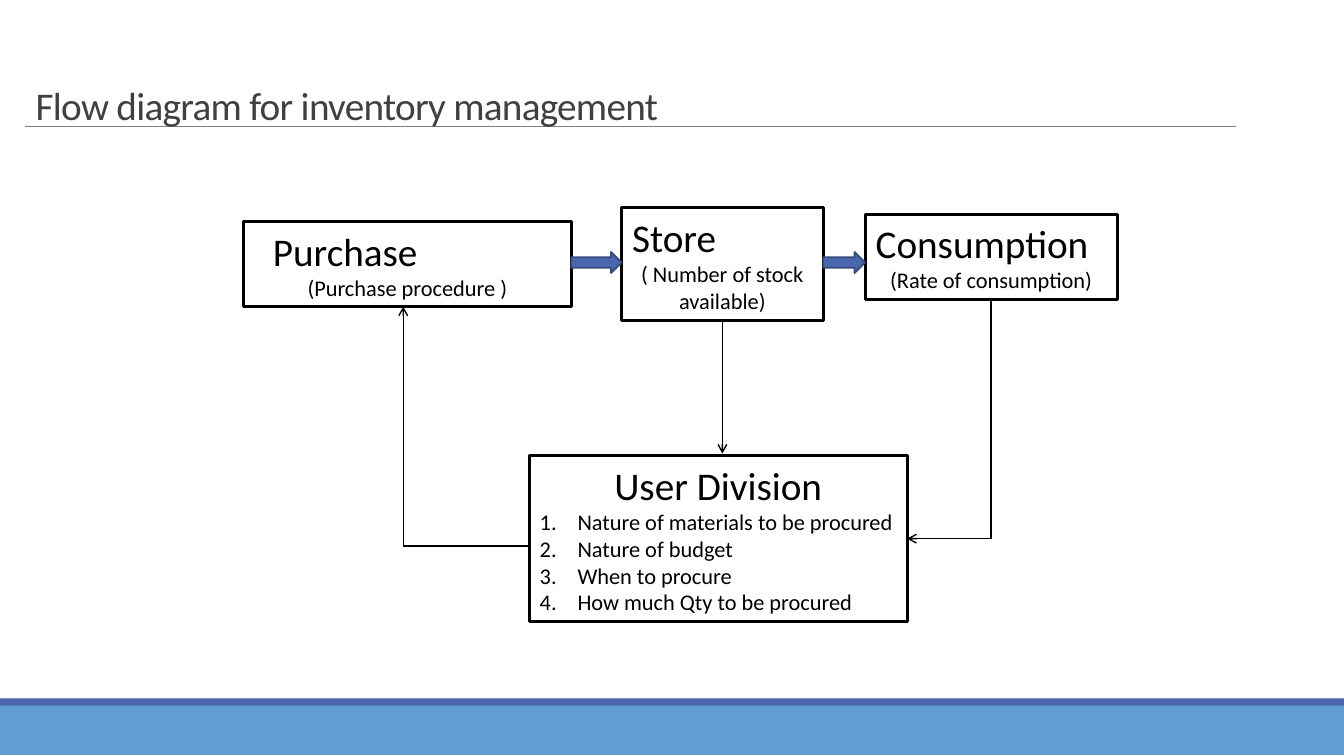
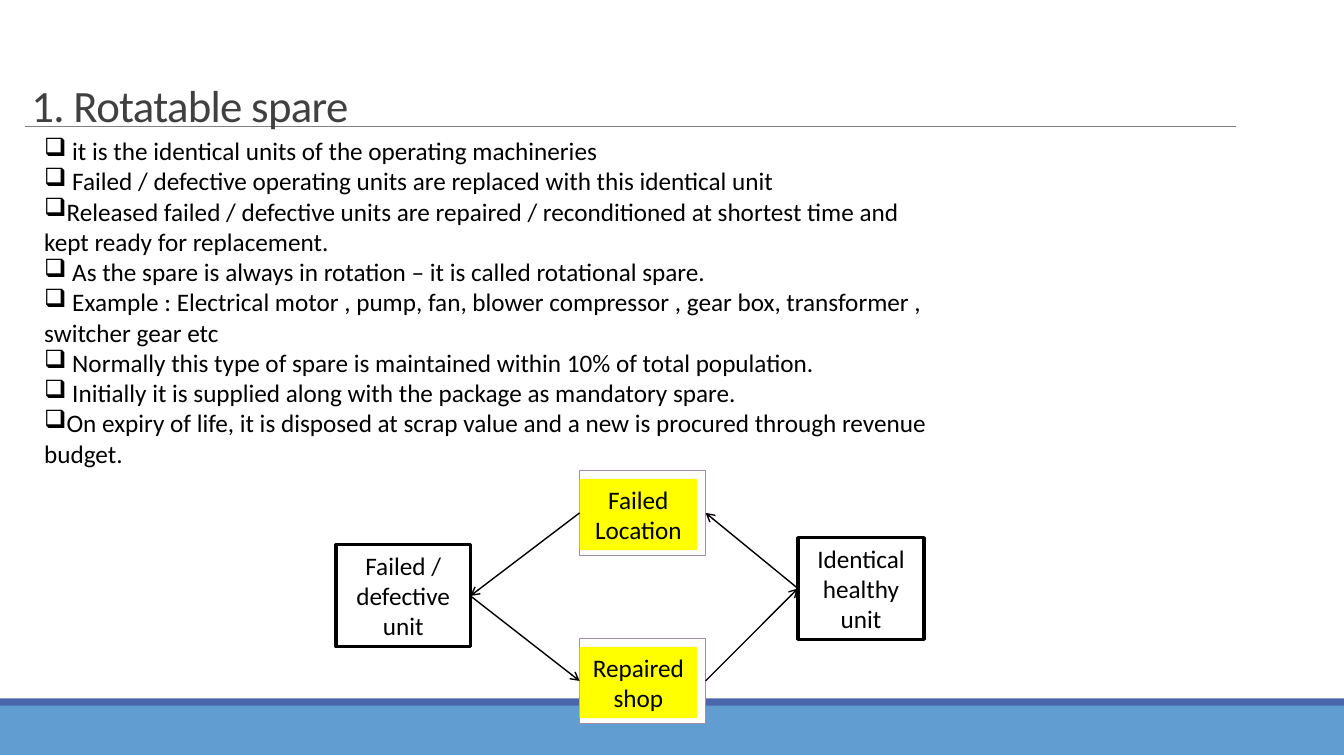
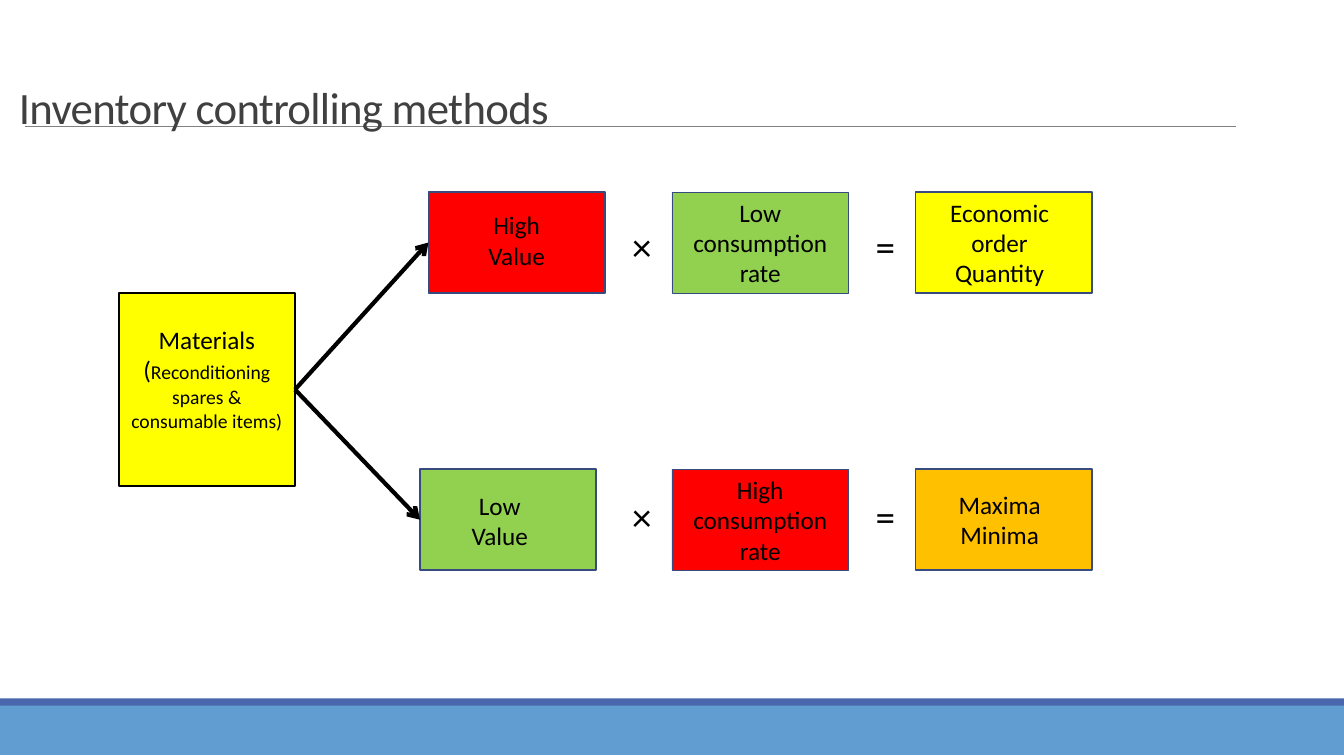
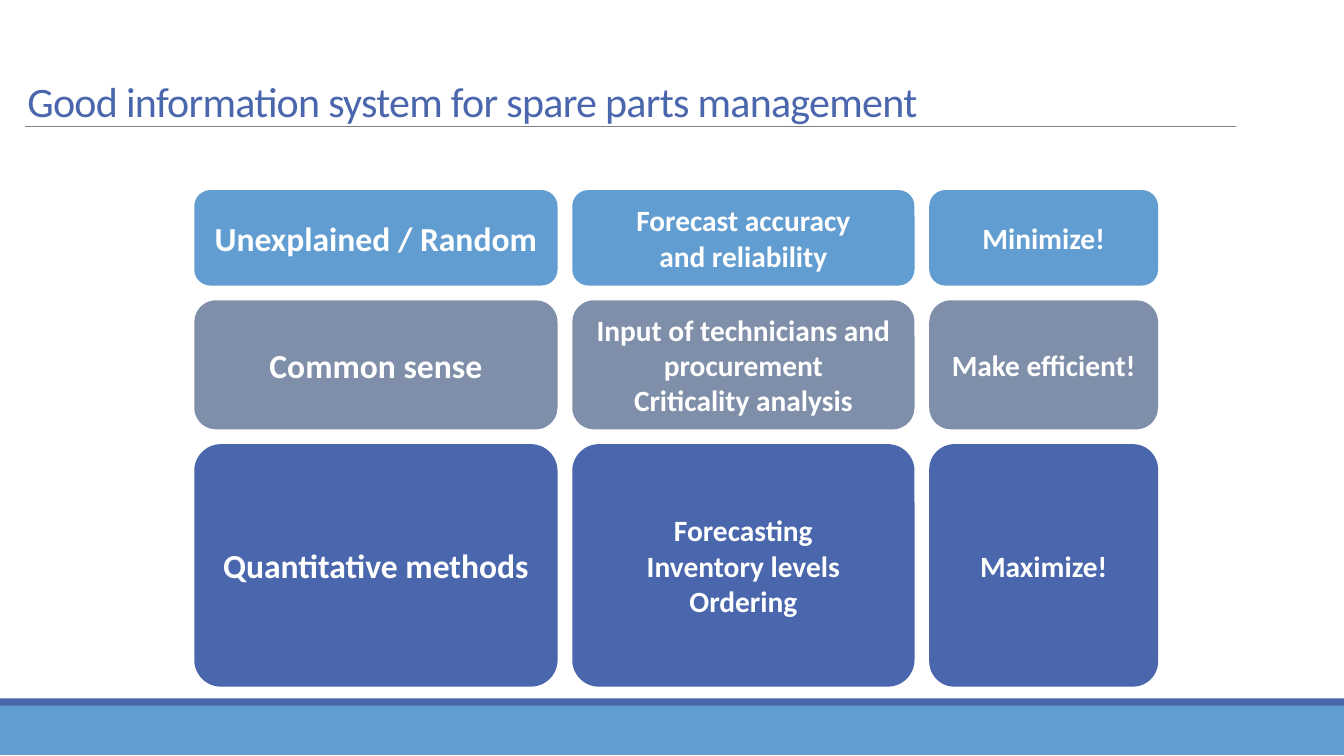
"""Build four slides on inventory and spare parts management."""
from dataclasses import dataclass
from typing import NamedTuple, Optional, Union

import lxml.etree
import pptx
import pptx.dml.color
import pptx.enum.shapes
import pptx.enum.text
import pptx.oxml.ns
import pptx.presentation
import pptx.shapes.autoshape
import pptx.slide
import pptx.text.text
import pptx.util

PX = 9525
FONT = "Calibri"
COLORS = {
    "black": "000000", "white": "FFFFFF", "title": "404040", "rule": "808080",
    "blue": "4A66AC", "navy": "374B7F", "sky": "629DD1", "slate": "7F8FA9",
    "mauve": "9D90A0", "yellow": "FFFF00", "red": "FF0000", "green": "92D050",
    "orange": "FFC000",
}
LEFT, CENTER = pptx.enum.text.PP_ALIGN.LEFT, pptx.enum.text.PP_ALIGN.CENTER
TOP, MIDDLE, BOTTOM = (pptx.enum.text.MSO_ANCHOR.TOP, pptx.enum.text.MSO_ANCHOR.MIDDLE,
                       pptx.enum.text.MSO_ANCHOR.BOTTOM)
SHAPE = pptx.enum.shapes.MSO_SHAPE
SIDE_TOP, SIDE_LEFT, SIDE_BOTTOM, SIDE_RIGHT = range(4)


class Rect(NamedTuple):
    x: int
    y: int
    w: int
    h: int


class Insets(NamedTuple):
    left: int = 10
    top: int = 5
    right: int = 10
    bottom: int = 5


class Point(NamedTuple):
    x: int
    y: int


class Joint(NamedTuple):
    sp: pptx.shapes.autoshape.Shape
    side: int


class Run(NamedTuple):
    text: str
    size: int


End = Union[Point, Joint]


@dataclass
class Para:
    text: str = ""
    size: int = 18
    align: pptx.enum.text.PP_ALIGN = CENTER
    color: str = "black"
    bold: bool = False
    margin: int = 0
    hanging: int = 0
    bullet: str = ""
    numbered: bool = False
    tight: bool = False
    runs: tuple[Run, ...] = ()


@dataclass
class Box:
    rect: Rect
    paras: tuple[Para, ...] = ()
    kind: SHAPE = SHAPE.RECTANGLE
    fill: Optional[str] = None
    line: Optional[str] = None
    width: float = 1.25
    anchor: pptx.enum.text.MSO_ANCHOR = TOP
    insets: Insets = Insets()
    corner: Optional[float] = None


def px(n: int) -> pptx.util.Emu:
    return pptx.util.Emu(n * PX)


def rgb(name: str) -> pptx.dml.color.RGBColor:
    return pptx.dml.color.RGBColor.from_string(COLORS[name])


def add_xml(parent: lxml.etree.ElementBase, tag: str, **attrs: str) -> None:
    lxml.etree.SubElement(parent, pptx.oxml.ns.qn(tag), attrs)


def set_font(font: pptx.text.text.Font, size: int, color: str, bold: bool) -> None:
    font.name, font.size, font.bold = FONT, pptx.util.Pt(size), bold
    font.color.rgb = rgb(color)


def write_para(p: pptx.text.text._Paragraph, para: Para) -> None:
    p.alignment = para.align
    pPr = p._p.get_or_add_pPr()
    if para.margin:
        pPr.set("marL", str(para.margin * PX))
        pPr.set("indent", str(-para.hanging * PX))
    if para.tight:
        p.line_spacing = 0.85
    if para.bullet:
        add_xml(pPr, "a:buChar", char=para.bullet)
    if para.numbered:
        add_xml(pPr, "a:buAutoNum", type="arabicPeriod")
    for run in para.runs:
        r = p.add_run()
        r.text = run.text
        set_font(r.font, run.size, para.color, para.bold)
    if not para.runs:
        p.add_run().text = para.text
        set_font(p.font, para.size, para.color, para.bold)
    if para.tight:
        pPr.find(pptx.oxml.ns.qn("a:defRPr")).set("spc", "-50")


def write_text(tf: pptx.text.text.TextFrame, box: Box) -> None:
    tf.word_wrap = True
    tf.vertical_anchor = box.anchor
    tf.margin_left, tf.margin_top, tf.margin_right, tf.margin_bottom = map(px, box.insets)
    for i, para in enumerate(box.paras):
        write_para(tf.add_paragraph() if i else tf.paragraphs[0], para)


def draw_box(slide: pptx.slide.Slide, box: Box) -> pptx.shapes.autoshape.Shape:
    sp = slide.shapes.add_shape(box.kind, *map(px, box.rect))
    sp.shadow.inherit = False
    if box.fill:
        sp.fill.solid()
        sp.fill.fore_color.rgb = rgb(box.fill)
    else:
        sp.fill.background()
    if box.line:
        sp.line.color.rgb = rgb(box.line)
        sp.line.width = pptx.util.Pt(box.width)
    else:
        sp.line.fill.background()
    if box.corner:
        sp.adjustments[0] = box.corner
    if box.paras:
        write_text(sp.text_frame, box)
    return sp


def draw_text(slide: pptx.slide.Slide, box: Box) -> None:
    write_text(slide.shapes.add_textbox(*map(px, box.rect)).text_frame, box)


def draw_line(slide: pptx.slide.Slide, start: End, end: End, arrow: bool = True,
              color: str = "black", width: float = 1) -> None:
    a, b = (e if isinstance(e, Point) else Point(0, 0) for e in (start, end))
    cxn = slide.shapes.add_connector(pptx.enum.shapes.MSO_CONNECTOR.STRAIGHT, *map(px, a + b))
    if isinstance(start, Joint):
        cxn.begin_connect(start.sp, start.side)
    if isinstance(end, Joint):
        cxn.end_connect(end.sp, end.side)
    cxn.line.color.rgb = rgb(color)
    cxn.line.width = pptx.util.Pt(width)
    spPr = cxn._element.spPr
    if arrow:
        add_xml(spPr.find(pptx.oxml.ns.qn("a:ln")), "a:tailEnd", type="arrow")
    add_xml(spPr, "a:effectLst")


def add_slide(prs: pptx.presentation.Presentation, title: str, rect: Rect, size: int,
              color: str = "title") -> pptx.slide.Slide:
    slide = prs.slides.add_slide(prs.slide_layouts[6])
    draw_box(slide, Box(Rect(0, 671, 1280, 48), fill="sky"))
    draw_box(slide, Box(Rect(0, 665, 1280, 7), fill="blue"))
    draw_line(slide, Point(24, 120), Point(1177, 120), arrow=False, color="rule", width=0.5)
    draw_text(slide, Box(rect, (Para(title, size, LEFT, color, tight=True),), anchor=BOTTOM))
    return slide


def outlined(rect: Rect, *paras: Para) -> Box:
    return Box(rect, paras, line="black", width=2.25)


def flow_slide(prs: pptx.presentation.Presentation) -> None:
    slide = add_slide(prs, "Flow diagram for inventory management", Rect(24, 36, 880, 91), 28)
    draw_box(slide, outlined(Rect(232, 211, 312, 81), Para("Purchase", 28, LEFT, margin=18),
                             Para("(Purchase procedure )", 16)))
    store = draw_box(slide, outlined(Rect(592, 198, 192, 107), Para("Store", 28, LEFT),
                                     Para("( Number of stock available)", 16)))
    consumption = draw_box(slide, outlined(Rect(824, 204, 240, 81), Para("Consumption", 28, LEFT),
                                           Para("(Rate of consumption)", 16)))
    for x, w in ((544, 48), (784, 40)):
        draw_box(slide, Box(Rect(x, 240, w, 20), kind=SHAPE.RIGHT_ARROW, fill="blue", line="navy"))
    needs = ("Nature of materials to be procured", "Nature of budget", "When to procure",
             "How much Qty to be procured")
    user = draw_box(slide, outlined(
        Rect(504, 434, 360, 158), Para("User Division", 28),
        *(Para(need, 16, LEFT, margin=36, hanging=36, numbered=True) for need in needs)))
    draw_line(slide, Joint(store, SIDE_BOTTOM), Point(688, 432))
    right_corner, left_corner = Point(944, 513), Point(384, 520)
    draw_line(slide, Joint(consumption, SIDE_BOTTOM), right_corner, arrow=False)
    draw_line(slide, right_corner, Joint(user, SIDE_RIGHT))
    draw_line(slide, Point(504, 520), left_corner, arrow=False)
    draw_line(slide, left_corner, Point(384, 292))


def rotatable_slide(prs: pptx.presentation.Presentation) -> None:
    slide = add_slide(prs, "1. Rotatable spare", Rect(20, 79, 856, 51), 32)
    points = (
        " it is the identical units of the operating machineries",
        " Failed / defective operating units are replaced with this identical unit",
        "Released failed / defective units are repaired / reconditioned at shortest time and "
        "kept ready for replacement.",
        " As the spare is always in rotation – it is called rotational spare.",
        " Example : Electrical motor , pump, fan, blower compressor , gear box, transformer , "
        "switcher gear etc",
        " Normally this type of spare is maintained within 10% of total population.",
        " Initially it is supplied along with the package as mandatory spare.",
        "On expiry of life, it is disposed at scrap value and a new is procured through revenue "
        "budget.",
    )
    draw_text(slide, Box(Rect(32, 124, 880, 329),
                         tuple(Para(point, align=LEFT, bullet="❑") for point in points)))
    defective = draw_box(slide, outlined(Rect(320, 519, 128, 97), Para("Failed / defective unit")))
    healthy = draw_box(slide, outlined(Rect(760, 512, 120, 97), Para("Identical healthy unit")))
    frames = []
    for y, label in ((448, "Failed Location"), (608, "Repaired shop")):
        frames.append(draw_box(slide, Box(Rect(552, y, 120, 81), kind=SHAPE.FLOWCHART_PROCESS,
                                          fill="white", line="mauve")))
        draw_box(slide, Box(Rect(552, y + 8, 112, 68), (Para(label),), fill="yellow"))
    location, shop = frames
    for start, end in (
        (Joint(healthy, SIDE_LEFT), Joint(location, SIDE_RIGHT)),
        (Joint(location, SIDE_LEFT), Joint(defective, SIDE_RIGHT)),
        (Joint(defective, SIDE_RIGHT), Joint(shop, SIDE_LEFT)),
        (Joint(shop, SIDE_RIGHT), Joint(healthy, SIDE_LEFT)),
    ):
        draw_line(slide, start, end)


class Factor(NamedTuple):
    text: str
    x: int
    fill: str
    insets: Insets = Insets()
    width: float = 1.25


def methods_slide(prs: pptx.presentation.Presentation) -> None:
    slide = add_slide(prs, "Inventory controlling methods", Rect(8, 57, 864, 75), 32)
    materials = Para(runs=(Run("Materials (", 18),
                           Run("Reconditioning spares & consumable items)", 14)))
    source = draw_box(slide, Box(Rect(113, 279, 168, 184), (materials,), fill="yellow",
                                 line="black", insets=Insets(top=30)))
    shifted = Insets(right=18)
    rows = (
        (183, 207, (Factor("High Value", 408, "red", Insets(42, 2, 42, 7)),
                    Factor("Low consumption rate", 640, "green", width=0.5),
                    Factor("Economic order Quantity", 872, "yellow", shifted))),
        (447, 464, (Factor("Low Value", 400, "green", Insets(34, 6, 50, 4)),
                    Factor("High consumption rate", 640, "red", width=0.5),
                    Factor("Maxima Minima", 872, "orange", shifted))),
    )
    for y, sign_y, factors in rows:
        value, *_ = [draw_box(slide, Box(Rect(f.x, y, 168, 96), (Para(f.text),), fill=f.fill,
                                         line="navy", width=f.width, anchor=MIDDLE,
                                         insets=f.insets)) for f in factors]
        for x, sign in ((592, "×"), (824, "=")):
            draw_text(slide, Box(Rect(x, sign_y, 32, 55), (Para(sign, 28, LEFT),)))
        draw_line(slide, Joint(source, SIDE_RIGHT), Joint(value, SIDE_LEFT), width=3)


class Level(NamedTuple):
    height: int
    fill: str
    corner: float
    cells: tuple[tuple[str, ...], ...]


def information_slide(prs: pptx.presentation.Presentation) -> None:
    slide = add_slide(prs, "Good information system for spare parts management",
                      Rect(16, 64, 945, 61), 30, "blue")
    columns = ((346, 24), (326, 21), (218, 21))
    levels = (
        Level(91, "sky", 0.17, (("Unexplained / Random",),
                                ("Forecast accuracy", "and reliability"), ("Minimize!",))),
        Level(123, "slate", 0.17, (("Common sense",),
                                   ("Input of technicians and procurement",
                                    "Criticality analysis"), ("Make efficient!",))),
        Level(231, "blue", 0.11, (("Quantitative methods",),
                                  ("Forecasting", "Inventory levels", "Ordering"),
                                  ("Maximize!",))),
    )
    gap, y = 14, 181
    for level in levels:
        x = 185
        for (w, size), lines in zip(columns, level.cells):
            paras = tuple(Para(line, size, color="white", bold=True) for line in lines)
            draw_box(slide, Box(Rect(x, y, w, level.height), paras, SHAPE.ROUNDED_RECTANGLE,
                                level.fill, anchor=MIDDLE, insets=Insets(9, 4, 9, 4),
                                corner=level.corner))
            x += w + gap
        y += level.height + gap


def main() -> None:
    prs = pptx.Presentation()
    prs.slide_width, prs.slide_height = px(1280), px(720)
    for build in (flow_slide, rotatable_slide, methods_slide, information_slide):
        build(prs)
    prs.save("out.pptx")


if __name__ == "__main__":
    main()
